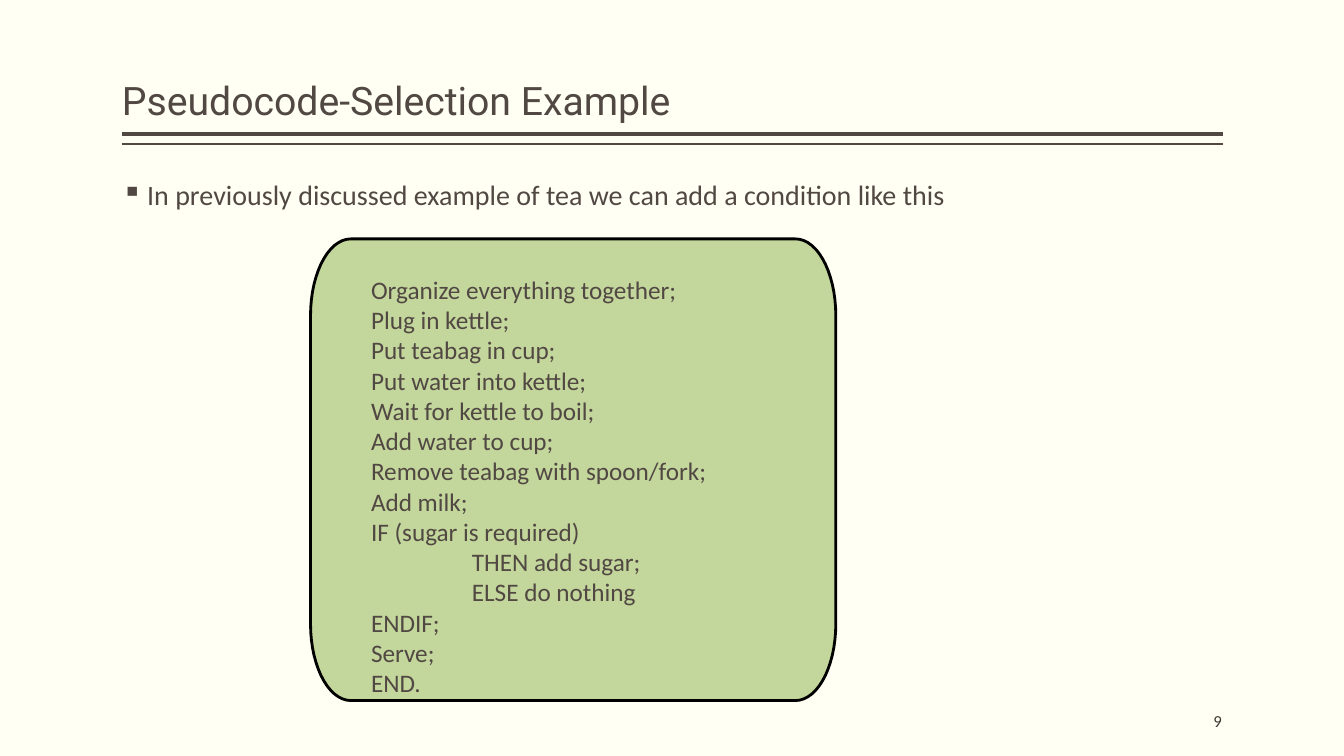
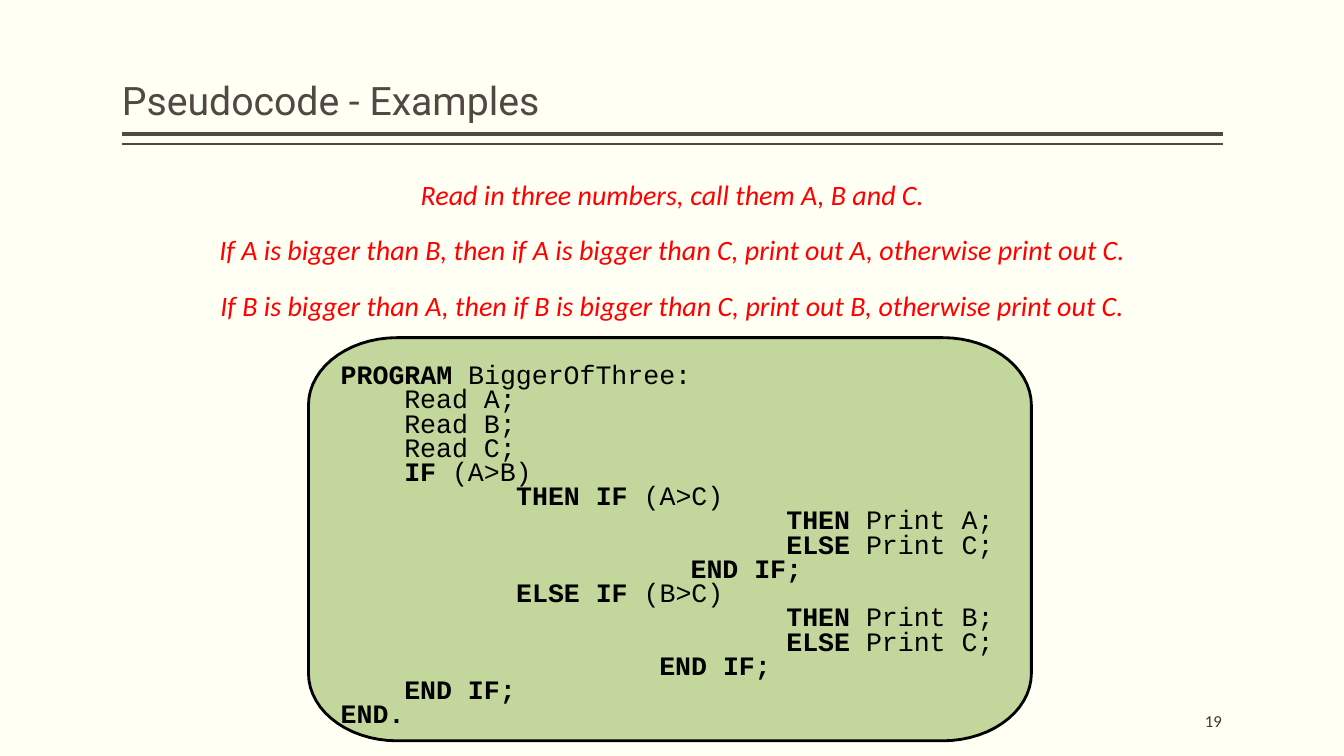
import math

from lxml import etree
from pptx import Presentation
from pptx import util as u
from pptx.dml.color import RGBColor
from pptx.enum import shapes, text
from pptx.oxml import ns

# Colours
CREAM = RGBColor(0xFF, 0xFF, 0xF3)
BROWN = RGBColor(0x51, 0x48, 0x43)
DARK = RGBColor(0x3D, 0x36, 0x32)
GREEN = RGBColor(0xC3, 0xD6, 0x9B)
RED = RGBColor(0xFF, 0x00, 0x00)
BLACK = RGBColor(0x00, 0x00, 0x00)

# Geometry, 100 px to the inch
PX = 9144
LEFT, WIDTH = 121, 1092
RULES = ((133, 3), (143, 1))
ALIGN = text.PP_ALIGN
ANCHOR = text.MSO_ANCHOR

# Text formats
TITLE = {"name": "Roboto", "size": u.Pt(28), "color": BROWN}
BODY = {"name": "Calibri", "size": u.Pt(20), "color": BROWN}
TASK = {**BODY, "color": RED, "italic": True}
STEPS = {**BODY, "size": u.Pt(18)}
CODE = {"name": "Courier New", "size": u.Pt(19), "color": BLACK}
NUMBER = {"name": "Calibri", "size": u.Pt(12), "color": DARK}


def px(*lengths):
    return [u.Emu(round(n * PX)) for n in lengths]


class Deck:
    """Holds the shared style and the current slide."""

    def __init__(self):
        self.prs = Presentation()
        self.prs.slide_width, self.prs.slide_height = px(1333, 750)
        fill = self.prs.slide_master.background.fill
        fill.solid()
        fill.fore_color.rgb = CREAM

    def slide(self, title, number):
        self.s = self.prs.slides.add_slide(self.prs.slide_layouts[5])
        for y, weight in RULES:
            self.rule(y, weight)
        sp = self.s.shapes.title
        sp.left, sp.top, sp.width, sp.height = px(LEFT, 8, WIDTH, 120)
        self.frame(sp, (0, 5, 0, 5), ANCHOR.BOTTOM)
        self.add_rows(sp, [(0, "", title)], TITLE, line_spacing=0.9)
        sp = self.box((1012, 695, 200, 40), ANCHOR.MIDDLE)
        self.add_rows(sp, [(0, "", number)], NUMBER, alignment=ALIGN.RIGHT)

    def rule(self, y, weight):
        line = self.s.shapes.add_connector(
            shapes.MSO_CONNECTOR.STRAIGHT, *px(LEFT, y, LEFT + WIDTH, y))
        line.line.color.rgb = BROWN
        line.line.width = u.Pt(weight)
        etree.SubElement(line._element.spPr, ns.qn("a:effectLst"))

    def frame(self, sp, insets, anchor):
        left, top, right, bottom = px(*insets)
        settings = {
            "margin_left": left, "margin_top": top,
            "margin_right": right, "margin_bottom": bottom,
            "vertical_anchor": anchor, "word_wrap": True,
            "auto_size": text.MSO_AUTO_SIZE.NONE,
        }
        for name, value in settings.items():
            setattr(sp.text_frame, name, value)

    def box(self, place, anchor=ANCHOR.TOP):
        sp = self.s.shapes.add_textbox(*px(*place))
        self.frame(sp, (0, 5, 0, 5), anchor)
        return sp

    def add_rows(self, sp, rows, font, bullet=None, **layout):
        """Each row is (indent, bold words, plain words)."""
        tf = sp.text_frame
        for i, (indent, bold, plain) in enumerate(rows):
            p = tf.add_paragraph() if i else tf.paragraphs[0]
            for name, value in {"alignment": ALIGN.LEFT, **layout}.items():
                setattr(p, name, value)
            pPr = p._p.get_or_add_pPr()
            pPr.set("marL", str(indent * PX))
            if bullet:
                pPr.set("indent", str(-indent * PX))
                etree.SubElement(pPr, ns.qn("a:buChar")).set("char", bullet)
            gap = " " if bold and plain else ""
            for words, heavy in ((bold, True), (gap + plain, False)):
                if words:
                    self.add_words(p, words, {**font, "bold": heavy})

    def add_words(self, p, words, font):
        r = p.add_run()
        r.text = words
        for name, value in font.items():
            if name == "color":
                r.font.color.rgb = value
            else:
                setattr(r.font, name, value)

    def body(self, lines, font, indent=0, **layout):
        sp = self.box((LEFT, 175, WIDTH, 500))
        self.add_rows(sp, [(indent, "", line) for line in lines], font,
                      line_spacing=0.9, space_after=u.Pt(18), **layout)

    def panel(self, place, radii, insets, rows, font, **layout):
        """Green panel with elliptical corners, holding the rows."""
        x, y, w, h = place
        rx, ry = radii
        centres = ((x + w - rx, y + ry), (x + w - rx, y + h - ry),
                   (x + rx, y + h - ry), (x + rx, y + ry))
        points = []
        for corner, (cx, cy) in enumerate(centres):
            for degrees in range(corner * 90 - 90, corner * 90 + 1, 6):
                a = math.radians(degrees)
                points.append(px(cx + rx * math.cos(a), cy + ry * math.sin(a)))
        builder = self.s.shapes.build_freeform(*points[0])
        builder.add_line_segments(points[1:], close=True)
        sp = builder.convert_to_shape()
        sp.shadow.inherit = False
        sp.fill.solid()
        sp.fill.fore_color.rgb = GREEN
        sp.line.color.rgb = BLACK
        sp.line.width = u.Pt(2)
        self.frame(sp, insets, ANCHOR.TOP)
        self.add_rows(sp, rows, font, **layout)


def main():
    deck = Deck()

    # Selection example
    deck.slide("Pseudocode-Selection Example", "9")
    deck.body(["In previously discussed example of tea we can add a condition like this"],
              BODY, indent=25, bullet="▪")
    steps = [
        (0, "Organize everything together;"),
        (0, "Plug in kettle;"),
        (0, "Put teabag in cup;"),
        (0, "Put water into kettle;"),
        (0, "Wait for kettle to boil;"),
        (0, "Add water to cup;"),
        (0, "Remove teabag with spoon/fork;"),
        (0, "Add milk;"),
        (0, "IF (sugar is required)"),
        (100, "THEN add sugar;"),
        (100, "ELSE do nothing"),
        (0, "ENDIF;"),
        (0, "Serve;"),
        (0, "END."),
    ]
    deck.panel((308, 237, 521, 458), (40, 76), (60, 35, 10, 0),
               [(indent, "", step) for indent, step in steps], STEPS)

    # Bigger of three
    deck.slide("Pseudocode - Examples", "19")
    deck.body([
        "Read in three numbers, call them A, B and C.",
        "If A is bigger than B, then if A is bigger than C, print out A, otherwise print out C.",
        "If B is bigger than A, then if B is bigger than C, print out B, otherwise print out C.",
    ], TASK, alignment=ALIGN.CENTER)
    block, branch, action = 63, 174, 442
    code = [
        (0, "PROGRAM", "BiggerOfThree:"),
        (block, "", "Read A;"),
        (block, "", "Read B;"),
        (block, "", "Read C;"),
        (block, "IF", "(A>B)"),
        (branch, "THEN IF", "(A>C)"),
        (action, "THEN", "Print A;"),
        (action, "ELSE", "Print C;"),
        (347, "END IF;", ""),
        (branch, "ELSE IF", "(B>C)"),
        (action, "THEN", "Print B;"),
        (action, "ELSE", "Print C;"),
        (316, "END IF;", ""),
        (block, "END IF;", ""),
        (0, "END.", ""),
    ]
    deck.panel((306, 335, 717, 400), (88, 67), (32, 28, 10, 0),
               code, CODE, line_spacing=u.Pt(17.3))

    deck.prs.save("out.pptx")


if __name__ == "__main__":
    main()
